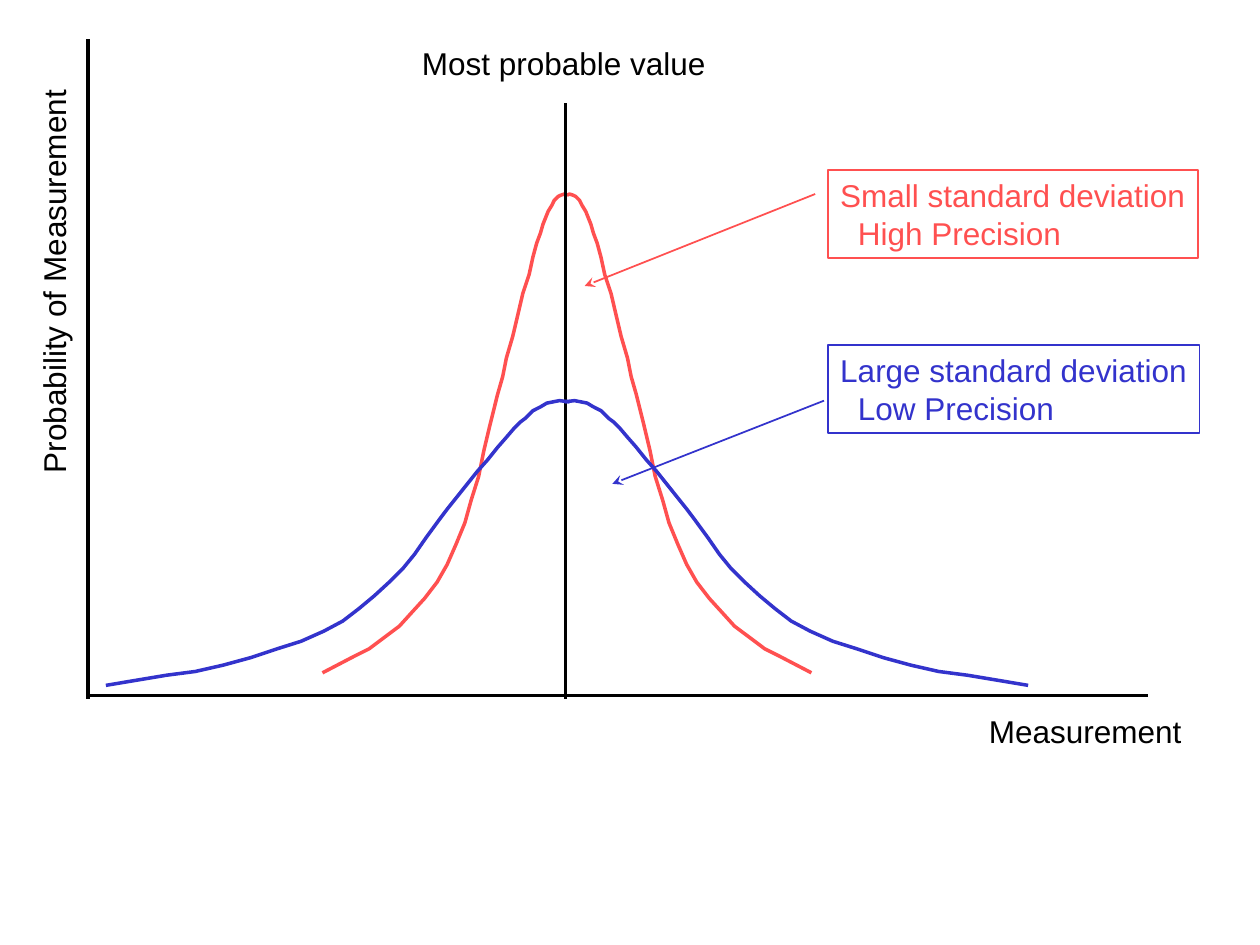
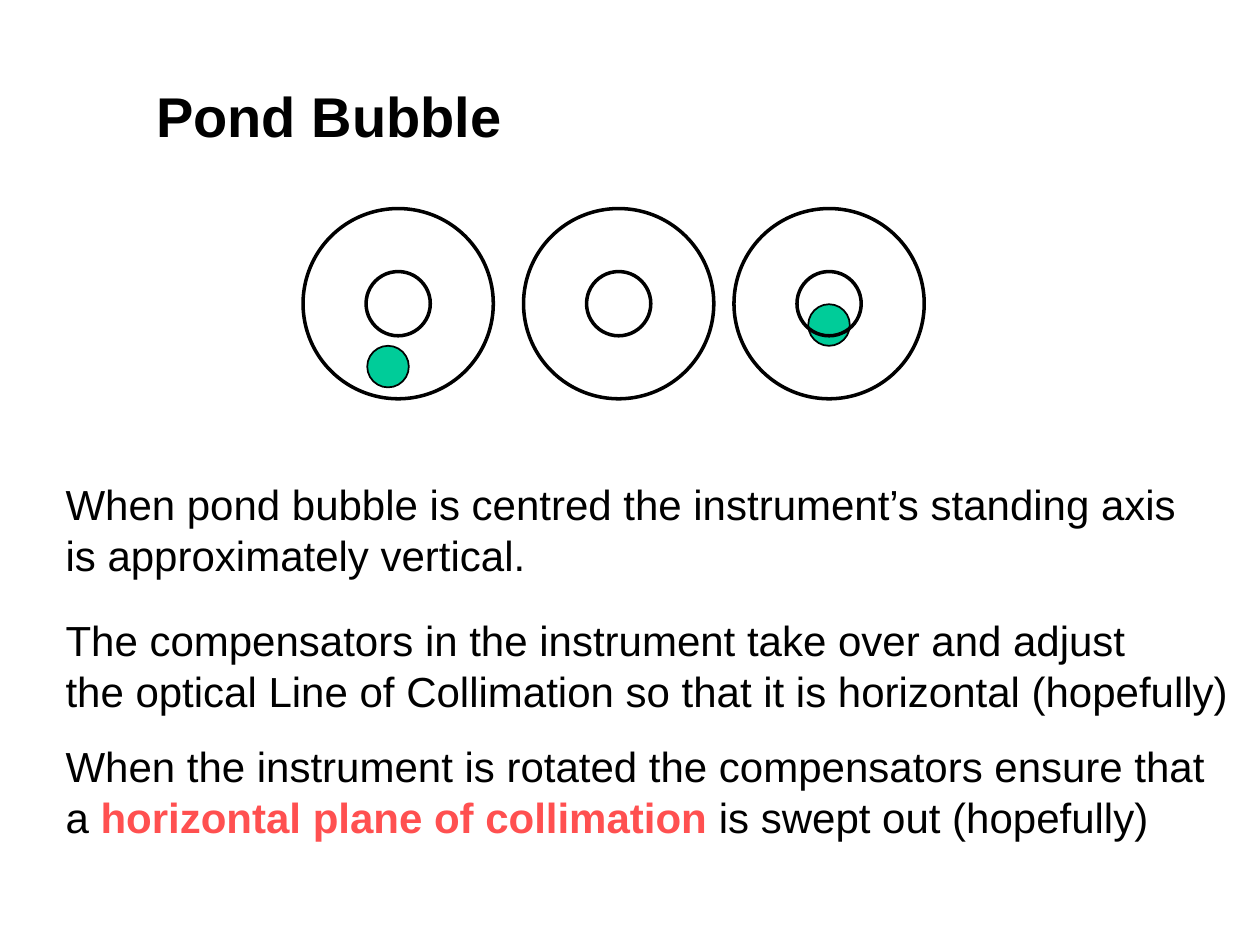
"""Build two surveying slides: measurement precision curves and the pond bubble."""
import dataclasses

import pptx
import pptx.dml.color
import pptx.enum.shapes
import pptx.enum.text
import pptx.oxml.ns
import pptx.util
from lxml import etree


@dataclasses.dataclass(frozen=True)
class Theme:
    font: str = "Arial"
    ink: str = "000000"
    red: str = "FF5050"
    blue: str = "3333CC"
    green: str = "00CC99"
    title_size: int = 32
    body_size: int = 24
    label_size: int = 18
    line_height: float = 1.2
    thick: int = 2
    thin: int = 1


THEME = Theme()
COLUMNS, ROWS = 10, 7.5
WIDTH, HEIGHT = pptx.util.Inches(10), pptx.util.Inches(7.5)
OVAL = pptx.enum.shapes.MSO_SHAPE.OVAL
RECTANGLE = pptx.enum.shapes.MSO_SHAPE.RECTANGLE

CURVE_CENTRE = 4.5
NARROW_HALF = [
    (2.56, 5.34), (2.81, 5.21), (2.93, 5.15), (3.05, 5.06), (3.17, 4.97), (3.27, 4.86),
    (3.37, 4.75), (3.47, 4.62), (3.55, 4.48), (3.62, 4.32), (3.69, 4.15), (3.74, 3.97),
    (3.8, 3.78), (3.84, 3.58), (3.89, 3.37), (3.95, 3.13), (3.99, 2.99), (4.02, 2.84),
    (4.07, 2.67), (4.11, 2.5), (4.15, 2.33), (4.2, 2.18), (4.23, 2.04), (4.26, 1.93),
    (4.29, 1.85), (4.31, 1.78), (4.33, 1.73), (4.35, 1.68), (4.38, 1.63), (4.4, 1.59),
    (4.43, 1.56), (4.45, 1.55), (4.48, 1.54), (4.5, 1.55),
]
WIDE_HALF = [
    (0.84, 5.44), (1.32, 5.36), (1.55, 5.33), (1.77, 5.28), (1.99, 5.22), (2.2, 5.15),
    (2.39, 5.09), (2.57, 5.01), (2.72, 4.93), (2.85, 4.83), (2.97, 4.73), (3.09, 4.62),
    (3.2, 4.51), (3.29, 4.4), (3.38, 4.27), (3.49, 4.12), (3.55, 4.04), (3.63, 3.94),
    (3.79, 3.74), (3.87, 3.65), (3.95, 3.55), (4.02, 3.47), (4.08, 3.4), (4.13, 3.35),
    (4.17, 3.32), (4.2, 3.29), (4.23, 3.26), (4.29, 3.23), (4.34, 3.2), (4.39, 3.19),
    (4.44, 3.18), (4.52, 3.19),
]
ORIGIN_X, ORIGIN_Y, AXIS_END = 0.7, 5.52, 5.55
AXES = [
    ((4.49, 0.82), (4.49, AXIS_END)),
    ((ORIGIN_X, 0.31), (ORIGIN_X, AXIS_END)),
    ((ORIGIN_X, ORIGIN_Y), (9.11, ORIGIN_Y)),
]
AXIS_LABELS = [
    ("Measurement", (7.75, 5.6, 1.73, 0.4), 0),
    ("Probability of Measurement", (-1.2, 2.03, 3.25, 0.4), 270),
    ("Most probable value", (3.25, 0.3, 2.45, 0.4), 0),
]
CALLOUTS = [
    (("Small standard deviation", "High Precision"), THEME.red,
     (6.57, 1.35, 2.94, 0.7), ((4.64, 2.27), (6.47, 1.54))),
    (("Large standard deviation", "Low Precision"), THEME.blue,
     (6.57, 2.74, 2.95, 0.7), ((4.86, 3.84), (6.54, 3.18))),
]
CALLOUT_INDENT = 0.14

TITLE = "Pond Bubble"
TITLE_AREA = (1.14, 0.6, 2.95, 0.63)
BODY_AREA = (0.42, 3.75, 9.5, 2.98)
STATEMENTS = [
    (0, [[("When pond bubble is centred the instrument’s standing axis", False)],
         [("is approximately vertical.", False)]]),
    (20, [[("The compensators in the instrument take over and adjust", False)],
          [("the optical Line of Collimation so that it is horizontal (hopefully)", False)]]),
    (14.4, [[("When the instrument is rotated the compensators ensure that", False)],
            [("a ", False), ("horizontal plane of collimation", True),
             (" is swept out (hopefully)", False)]]),
]
VIAL_Y = 2.41
VIALS = [(3.16, (-0.08, 0.5)), (4.91, None), (6.58, (0, 0.17))]
RING_SIZES = (0.51, 1.51)
BUBBLE_SIZE = 0.33


def across(columns):
    return round(WIDTH * columns / COLUMNS)


def down(rows):
    return round(HEIGHT * rows / ROWS)


def place(area):
    left, top, width, height = area
    return across(left), down(top), across(width), down(height)


def colour(value):
    return pptx.dml.color.RGBColor.from_string(value)


def draw_line(line, value, width):
    line.color.rgb = colour(value)
    line.width = pptx.util.Pt(width)


def style_shape(shape, line_colour, width, fill=None):
    shape.shadow.inherit = False
    if fill:
        shape.fill.solid()
        shape.fill.fore_color.rgb = colour(fill)
    else:
        shape.fill.background()
    draw_line(shape.line, line_colour, width)


def add_line(slide, ends, value, width, arrow=False):
    (start_x, start_y), (end_x, end_y) = ends
    connector = slide.shapes.add_connector(
        pptx.enum.shapes.MSO_CONNECTOR.STRAIGHT,
        across(start_x), down(start_y), across(end_x), down(end_y))
    draw_line(connector.line, value, width)
    if arrow:
        outline = connector.line._get_or_add_ln()
        etree.SubElement(outline, pptx.oxml.ns.qn("a:headEnd"), type="stealth")
    etree.SubElement(connector._element.spPr, pptx.oxml.ns.qn("a:effectLst"))


def add_curve(slide, half, value):
    group = slide.shapes.add_group_shape()
    mirrored = [(2 * CURVE_CENTRE - x, y) for x, y in half]
    for side in (half, mirrored):
        points = [(across(x), down(y)) for x, y in side]
        builder = group.shapes.build_freeform(*points[0])
        builder.add_line_segments(points[1:], close=False)
        style_shape(builder.convert_to_shape(), value, THEME.thick)


def prepare_frame(shape, wrap=False):
    frame = shape.text_frame
    frame.word_wrap = wrap
    frame.auto_size = pptx.enum.text.MSO_AUTO_SIZE.NONE
    frame.vertical_anchor = pptx.enum.text.MSO_ANCHOR.TOP
    return frame


def format_paragraph(paragraph, size, space_before=0, indent=0):
    properties = paragraph._p.get_or_add_pPr()
    properties.set("marL", str(across(indent)))
    properties.set("indent", "0")
    etree.SubElement(properties, pptx.oxml.ns.qn("a:buNone"))
    paragraph.alignment = pptx.enum.text.PP_ALIGN.LEFT
    paragraph.line_spacing = pptx.util.Pt(size * THEME.line_height)
    paragraph.space_before = pptx.util.Pt(space_before)


def add_run(paragraph, text, size, value=THEME.ink, bold=False):
    run = paragraph.add_run()
    run.text = text
    run.font.name = THEME.font
    run.font.size = pptx.util.Pt(size)
    run.font.bold = bold
    run.font.color.rgb = colour(value)


def write_line(paragraph, text, size, value=THEME.ink, bold=False, indent=0):
    format_paragraph(paragraph, size, indent=indent)
    add_run(paragraph, text, size, value, bold)


def add_callout(slide, lines, value, area, arrow):
    add_line(slide, arrow, value, THEME.thin, arrow=True)
    box = slide.shapes.add_shape(RECTANGLE, *place(area))
    style_shape(box, value, THEME.thin)
    frame = prepare_frame(box)
    heading, detail = lines
    write_line(frame.paragraphs[0], heading, THEME.label_size, value)
    write_line(frame.add_paragraph(), detail, THEME.label_size, value, indent=CALLOUT_INDENT)


def add_circle(group, centre_x, centre_y, size, width, fill=None):
    area = (centre_x - size / 2, centre_y - size / 2, size, size)
    circle = group.shapes.add_shape(OVAL, *place(area))
    style_shape(circle, THEME.ink, width, fill)


def add_vial(slide, centre_x, bubble):
    group = slide.shapes.add_group_shape()
    if bubble:
        shift_x, shift_y = bubble
        add_circle(group, centre_x + shift_x, VIAL_Y + shift_y, BUBBLE_SIZE,
                   THEME.thin, THEME.green)
    for size in RING_SIZES:
        add_circle(group, centre_x, VIAL_Y, size, THEME.thick)


def position(shape, area):
    shape.left, shape.top, shape.width, shape.height = place(area)


def build_precision_slide(presentation):
    slide = presentation.slides.add_slide(presentation.slide_layouts.get_by_name("Blank"))
    add_curve(slide, NARROW_HALF, THEME.red)
    for ends in AXES:
        add_line(slide, ends, THEME.ink, THEME.thick)
    add_curve(slide, WIDE_HALF, THEME.blue)
    for text, area, rotation in AXIS_LABELS:
        label = slide.shapes.add_textbox(*place(area))
        label.rotation = rotation
        write_line(prepare_frame(label).paragraphs[0], text, THEME.label_size)
    for callout in CALLOUTS:
        add_callout(slide, *callout)


def build_bubble_slide(presentation):
    layout = presentation.slide_layouts.get_by_name("Title and Content")
    slide = presentation.slides.add_slide(layout)
    title, body = slide.shapes.title, slide.placeholders[1]
    position(title, TITLE_AREA)
    write_line(prepare_frame(title).paragraphs[0], TITLE, THEME.title_size, bold=True)
    for centre_x, bubble in VIALS:
        add_vial(slide, centre_x, bubble)
    position(body, BODY_AREA)
    frame = prepare_frame(body, wrap=True)
    for index, (space_before, lines) in enumerate(STATEMENTS):
        paragraph = frame.add_paragraph() if index else frame.paragraphs[0]
        format_paragraph(paragraph, THEME.body_size, space_before)
        for number, pieces in enumerate(lines):
            if number:
                paragraph.add_line_break()
            for text, stressed in pieces:
                value = THEME.red if stressed else THEME.ink
                add_run(paragraph, text, THEME.body_size, value, stressed)


def main():
    presentation = pptx.Presentation()
    presentation.slide_width, presentation.slide_height = WIDTH, HEIGHT
    build_precision_slide(presentation)
    build_bubble_slide(presentation)
    presentation.save("out.pptx")


if __name__ == "__main__":
    main()
